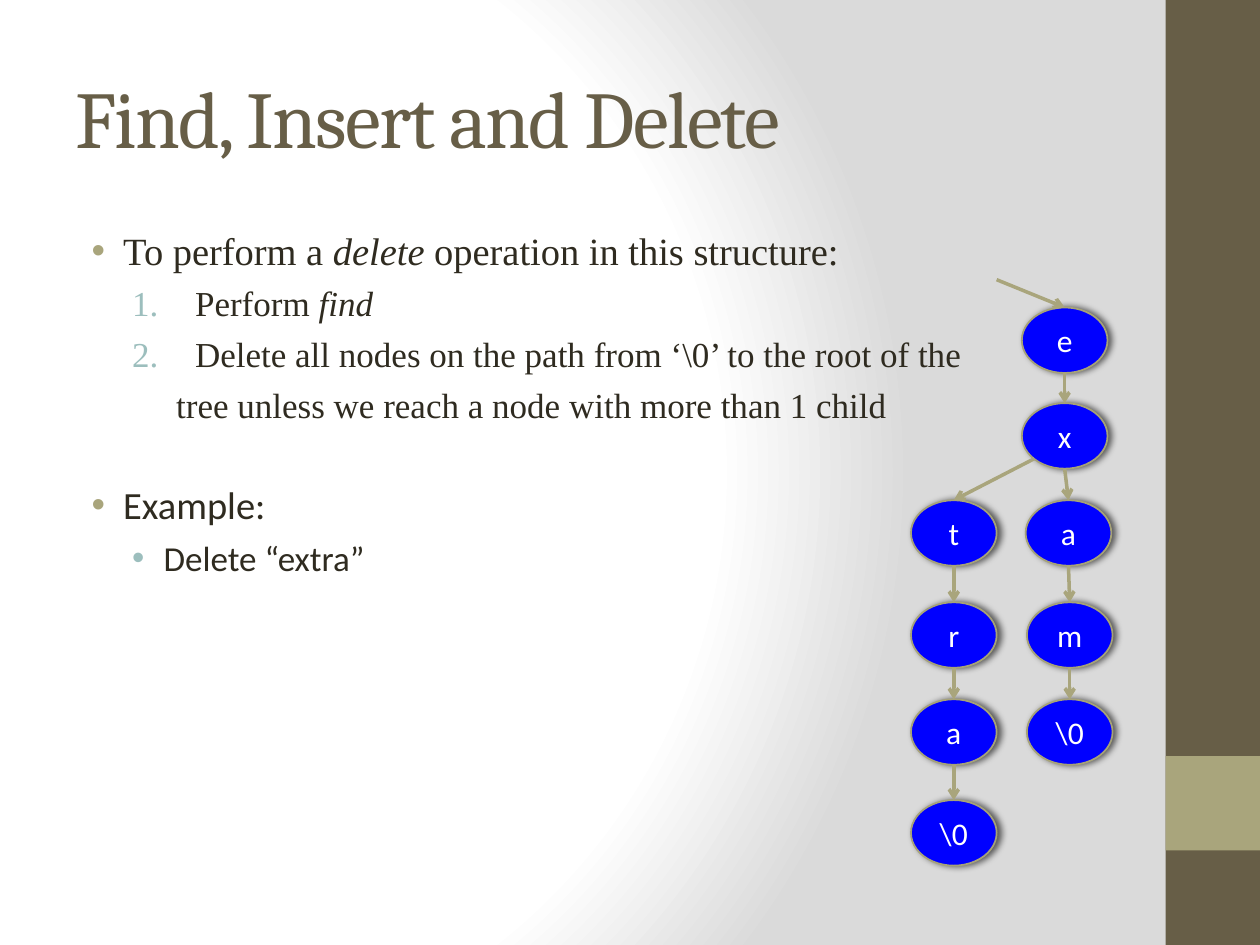
from pptx import Presentation
from pptx.dml.color import RGBColor
from pptx.enum.shapes import MSO_CONNECTOR as Connector, MSO_SHAPE as Shape
from pptx.enum.text import MSO_ANCHOR as Anchor, PP_ALIGN as Align
from pptx.oxml import parse_xml
from pptx.oxml.ns import nsdecls
from pptx.util import Inches, Pt

COLORS = {
    "brown": "675E47", "olive": "A9A57C", "outline": "A6A278",
    "teal": "9CBEBD", "ink": "2F2B20", "node": "0000FF",
    "white": "FFFFFF", "gray": "DADADA", "shadow": "000000",
}


def color(name):
    return RGBColor.from_string(COLORS[name])


def add_xml(parent, markup):
    """Append a DrawingML element whose root tag is given without a namespace."""
    tag, rest = markup[1:].split(" ", 1)
    parent.append(parse_xml(f"<{tag} {nsdecls('a')} {rest}"))


deck = Presentation()
deck.slide_width, deck.slide_height = Inches(10), Inches(7.5)
page = deck.slides.add_slide(deck.slide_layouts[6])

# Background: white glow from the left, fading to gray
page.background.fill.gradient()
gradient = page.background.fill._xPr.gradFill
for child in list(gradient):
    gradient.remove(child)
stops = "".join(
    f'<a:gs pos="{share * 1000}"><a:srgbClr val="{COLORS[name]}"/></a:gs>'
    for share, name in [(0, "white"), (75, "white"), (100, "gray")])
add_xml(gradient, f"<a:gsLst >{stops}</a:gsLst>")
add_xml(gradient, '<a:path path="circle"><a:fillToRect l="20000" t="50000" '
                  'r="100000" b="50000"/></a:path>')

# Side bar with its accent square
for top, height, name in [(0, 7.5, "brown"), (6, 0.75, "olive")]:
    bar = page.shapes.add_shape(Shape.RECTANGLE, Inches(9.25), Inches(top),
                                Inches(0.75), Inches(height))
    bar.shadow.inherit = False
    bar.fill.solid()
    bar.fill.fore_color.rgb = color(name)
    bar.line.fill.background()

# Title
title = page.shapes.add_textbox(Inches(0.5), Inches(0.3), Inches(8.33), Inches(1.25))
title.text_frame.word_wrap = True
title.text_frame.vertical_anchor = Anchor.MIDDLE
para = title.text_frame.paragraphs[0]
para.font.size, para.font.name = Pt(46), "Cambria"
para.font.color.rgb = color("brown")
span = para.add_run()
span.text = "Find, Insert and Delete"
span.font._element.set("spc", "-100")

# Body: margin, indent, bullet, bullet color, space before, size, font, (text, italic) spans
DOT = '<a:buChar char="•"/>'
NUMBER = '<a:buAutoNum type="arabicPeriod"/>'
SERIF, SANS = "Times New Roman", "Calibri"
paragraphs = [
    (0.38, -0.25, DOT, "olive", 0, 22, SERIF,
     [("To perform a ", False), ("delete ", True),
      ("operation in this structure:", False)]),
    (0.95, -0.5, NUMBER, "teal", 5, 20, SERIF, [("Perform ", False), ("find", True)]),
    (0.95, -0.5, NUMBER, "teal", 5, 20, SERIF,
     [("Delete all nodes on the path from ‘\\0’ to the root of the", False)]),
    (0.8, 0, None, None, 5, 20, SERIF,
     [("tree unless we reach a node with more than 1 child", False)]),
    (0.38, -0.25, DOT, "olive", 32, 22, SANS, [("Example:", False)]),
    (0.7, -0.25, DOT, "teal", 5, 20, SANS, [("Delete “extra”", False)]),
]
body = page.shapes.add_textbox(Inches(0.5), Inches(1.75), Inches(8.33), Inches(5.25))
body.text_frame.word_wrap = True
for index, (margin, indent, bullet, tint, before, size, face, spans) in enumerate(paragraphs):
    para = body.text_frame.add_paragraph() if index else body.text_frame.paragraphs[0]
    para.space_before = Pt(before)
    properties = para._p.get_or_add_pPr()
    properties.set("marL", str(Inches(margin)))
    properties.set("indent", str(Inches(indent)))
    if bullet:
        add_xml(properties, f'<a:buClr ><a:srgbClr val="{COLORS[tint]}"/></a:buClr>')
        if bullet == DOT:
            add_xml(properties, '<a:buFont typeface="Arial"/>')
        add_xml(properties, bullet)
    para.font.size, para.font.name = Pt(size), face
    para.font.color.rgb = color("ink")
    for text, italic in spans:
        span = para.add_run()
        span.text = text
        if italic:
            span.font.italic = True

# Tree nodes: name -> label, center x, row
NODE_WIDTH, NODE_HEIGHT = 0.68, 0.52
ROWS = [2.44, 3.2, 3.97, 4.78, 5.55, 6.35]
tree = {
    "e": ("e", 8.45, 0), "x": ("x", 8.45, 1),
    "exa": ("a", 8.48, 2), "exam": ("m", 8.49, 3), "exam end": ("\\0", 8.49, 4),
    "ext": ("t", 7.57, 2), "extr": ("r", 7.57, 3),
    "extra": ("a", 7.57, 4), "extra end": ("\\0", 7.57, 5),
}
nodes = {}
for name, (label, center, row) in tree.items():
    node = page.shapes.add_shape(
        Shape.OVAL, Inches(center - NODE_WIDTH / 2), Inches(ROWS[row]),
        Inches(NODE_WIDTH), Inches(NODE_HEIGHT))
    node.fill.solid()
    node.fill.fore_color.rgb = color("node")
    node.line.color.rgb, node.line.width = color("outline"), Pt(1)
    add_xml(node._element.spPr,
            f'<a:effectLst ><a:outerShdw blurRad="{Pt(4)}" dist="{Pt(2)}" dir="0">'
            f'<a:srgbClr val="{COLORS["shadow"]}"><a:alpha val="60000"/></a:srgbClr>'
            '</a:outerShdw></a:effectLst>')
    node.text_frame.vertical_anchor = Anchor.MIDDLE
    para = node.text_frame.paragraphs[0]
    para.alignment = Align.CENTER
    para.font.size, para.font.name = Pt(18), "Calibri"
    para.font.color.rgb = color("white")
    para.add_run().text = label
    nodes[name] = node

# Arrows: the entry and the branch start off-center, the rest below their parent
arrows = [((7.91, 2.22), "e"), ((8.21, 3.64), "ext")]
for parent, child in [("e", "x"), ("x", "exa"), ("exa", "exam"), ("exam", "exam end"),
                      ("ext", "extr"), ("extr", "extra"), ("extra", "extra end")]:
    label, center, row = tree[parent]
    arrows.append(((center, ROWS[row] + NODE_HEIGHT), child))
for (left, top), child in arrows:
    arrow = page.shapes.add_connector(Connector.STRAIGHT, Inches(left), Inches(top),
                                      Inches(left), Inches(top))
    arrow.end_connect(nodes[child], 0)
    arrow.line.color.rgb, arrow.line.width = color("olive"), Pt(2)
    add_xml(arrow.line._get_or_add_ln(), '<a:tailEnd type="arrow"/>')
    add_xml(arrow._element.spPr, "<a:effectLst />")

deck.save("out.pptx")
